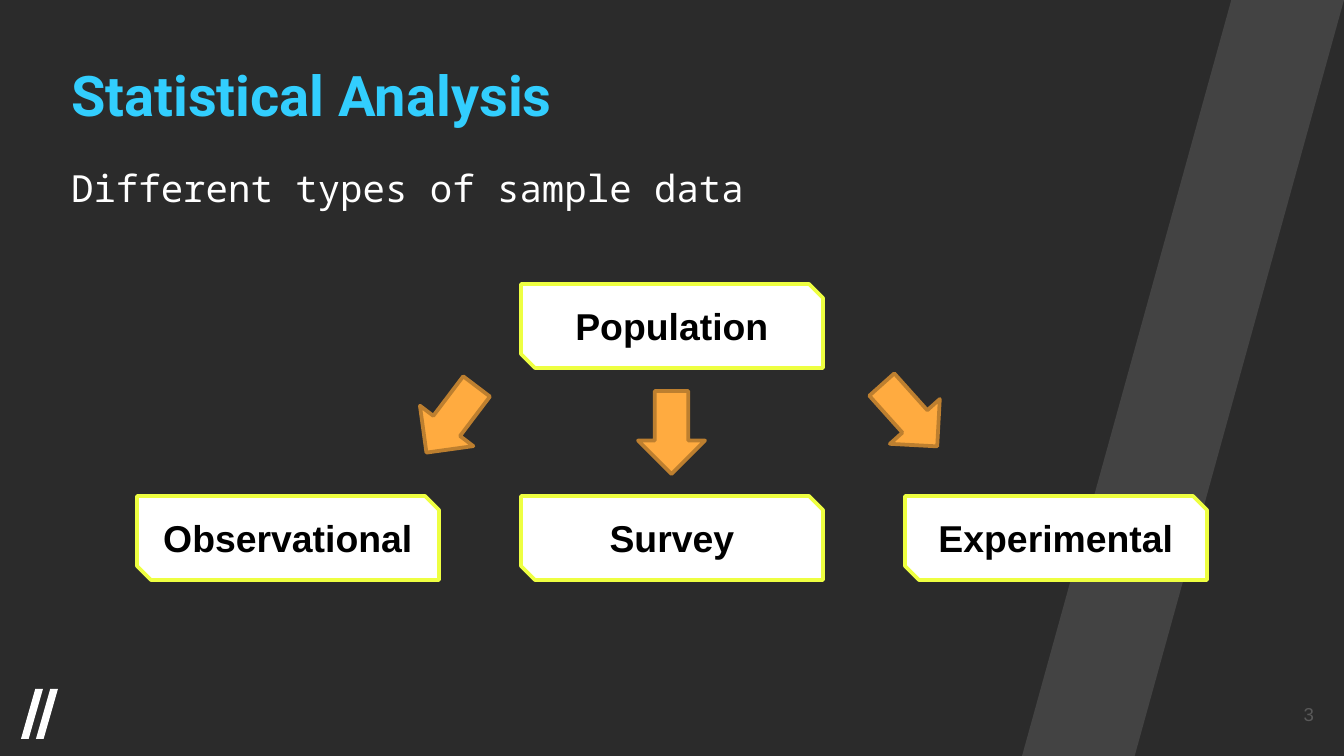
import pptx
import pptx.util
import pptx.dml.color
import pptx.enum.shapes
import pptx.enum.text

SHAPE = pptx.enum.shapes.MSO_SHAPE
ALIGN = pptx.enum.text.PP_ALIGN
ANCHOR = pptx.enum.text.MSO_ANCHOR
EMU_PER_PX = 914400 / 134.4
COLORS = {
    "background": "2B2B2B",
    "band": "434343",
    "white": "FFFFFF",
    "black": "000000",
    "title": "32CEFE",
    "number": "595959",
    "box_line": "EEFF41",
    "arrow": "FFAB40",
    "arrow_line": "BD7F2F",
}
SLIDE_SIZE = (1344, 756)
BOX_SIZE = (302, 84)
BOX_LEFT, BOX_STEP = 137, 384
SOURCE_TOP, SAMPLE_TOP = 284, 496
ARROW_SIZE = (83, 67)
INSET = 13.44

SLANTS = [
    ((1022, 0, 322, 756), "band"),
    ((21, 689, 22, 50), "white"),
    ((36, 689, 22, 50), "white"),
]
TEXTS = [
    ("Statistical Analysis", (58, 47, 636, 93),
     dict(size=30, font="Roboto", color="title", bold=True)),
    ("Different types of sample data", (58, 145, 1255, 321),
     dict(size=20, font="Noto Sans Mono", color="white", spacing=1.15)),
    ("3", (1246, 685, 81, 58),
     dict(size=10, color="number", align=ALIGN.RIGHT, anchor=ANCHOR.MIDDLE)),
]
SOURCE = "Population"
SAMPLES = ["Observational", "Survey", "Experimental"]
ARROWS = [(630, 399, 90), (410, 386, 127.1), (868, 382, 48.1)]


def px(*lengths):
    return [pptx.util.Emu(round(length * EMU_PER_PX)) for length in lengths]


def rgb(name):
    return pptx.dml.color.RGBColor.from_string(COLORS[name])


def write(shape, text, size, color, font="Arial", bold=False,
          align=ALIGN.LEFT, anchor=ANCHOR.TOP, spacing=None):
    frame = shape.text_frame
    frame.word_wrap = True
    frame.vertical_anchor = anchor
    inset, = px(INSET)
    frame.margin_left = frame.margin_right = inset
    frame.margin_top = frame.margin_bottom = inset
    para = frame.paragraphs[0]
    para.alignment = align
    if spacing:
        para.line_spacing = spacing
    span = para.add_run()
    span.text = text
    span.font.size = pptx.util.Pt(size)
    span.font.name = font
    span.font.bold = bold
    span.font.color.rgb = rgb(color)


def add_shape(page, kind, place, fill, line=None):
    shape = page.shapes.add_shape(kind, *px(*place))
    shape.shadow.inherit = False
    shape.fill.solid()
    shape.fill.fore_color.rgb = rgb(fill)
    if line:
        shape.line.color.rgb = rgb(line)
        shape.line.width = pptx.util.Pt(2)
    else:
        shape.line.fill.background()
    return shape


def add_box(page, label, column, top):
    place = (BOX_LEFT + column * BOX_STEP, top, *BOX_SIZE)
    box = add_shape(page, SHAPE.SNIP_2_DIAG_RECTANGLE, place, "white", "box_line")
    write(box, label, size=20, color="black", bold=True,
          align=ALIGN.CENTER, anchor=ANCHOR.MIDDLE)


def main():
    deck = pptx.Presentation()
    deck.slide_width, deck.slide_height = px(*SLIDE_SIZE)
    page = deck.slides.add_slide(deck.slide_layouts[6])
    page.background.fill.solid()
    page.background.fill.fore_color.rgb = rgb("background")

    for place, fill in SLANTS:
        slant = add_shape(page, SHAPE.PARALLELOGRAM, place, fill)
        slant.adjustments[0] = 0.65

    for text, place, style in TEXTS:
        write(page.shapes.add_textbox(*px(*place)), text, **style)

    add_box(page, SOURCE, 1, SOURCE_TOP)
    for column, label in enumerate(SAMPLES):
        add_box(page, label, column, SAMPLE_TOP)

    for left, top, angle in ARROWS:
        arrow = add_shape(page, SHAPE.RIGHT_ARROW, (left, top, *ARROW_SIZE),
                          "arrow", "arrow_line")
        arrow.rotation = angle

    deck.save("out.pptx")


if __name__ == "__main__":
    main()
